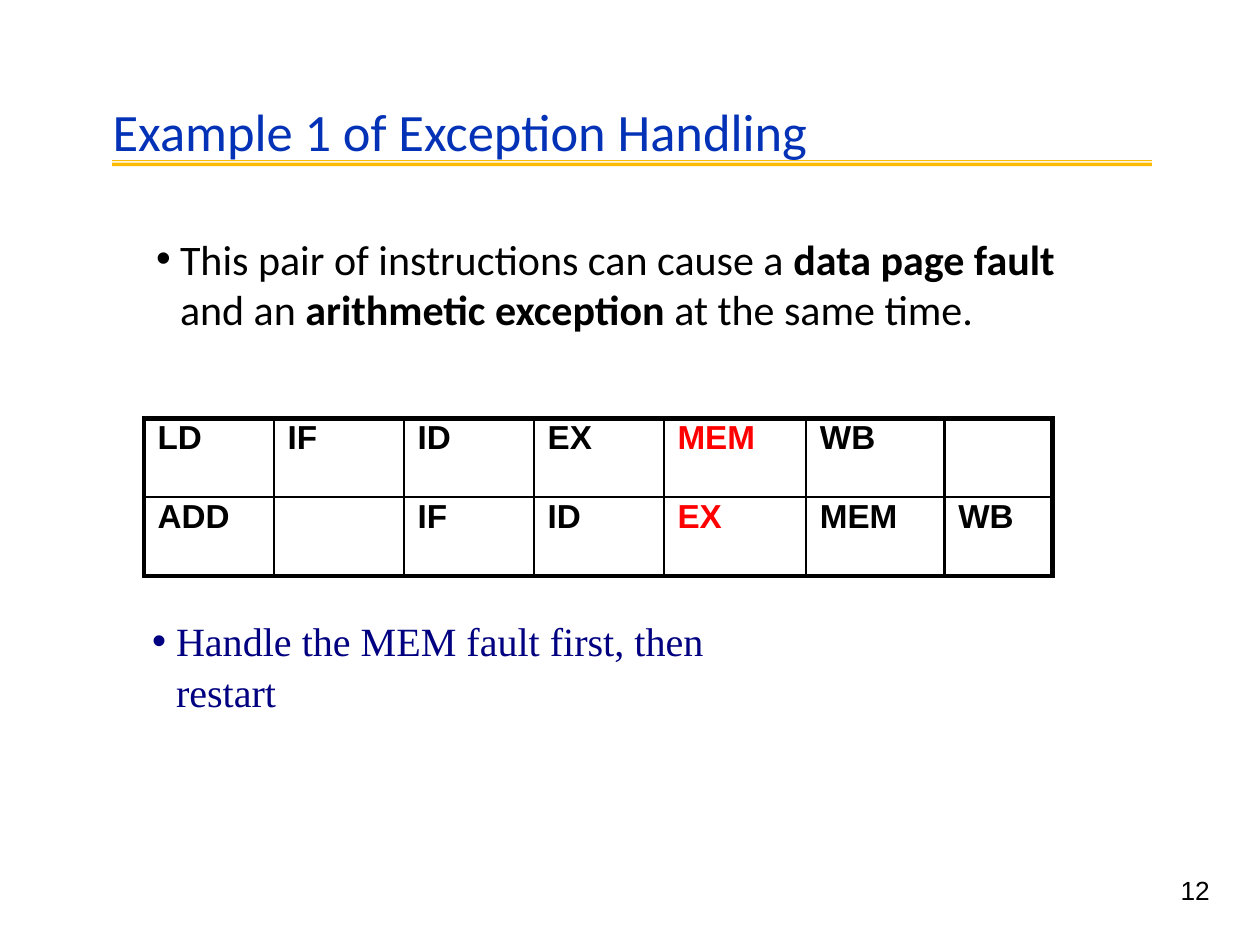
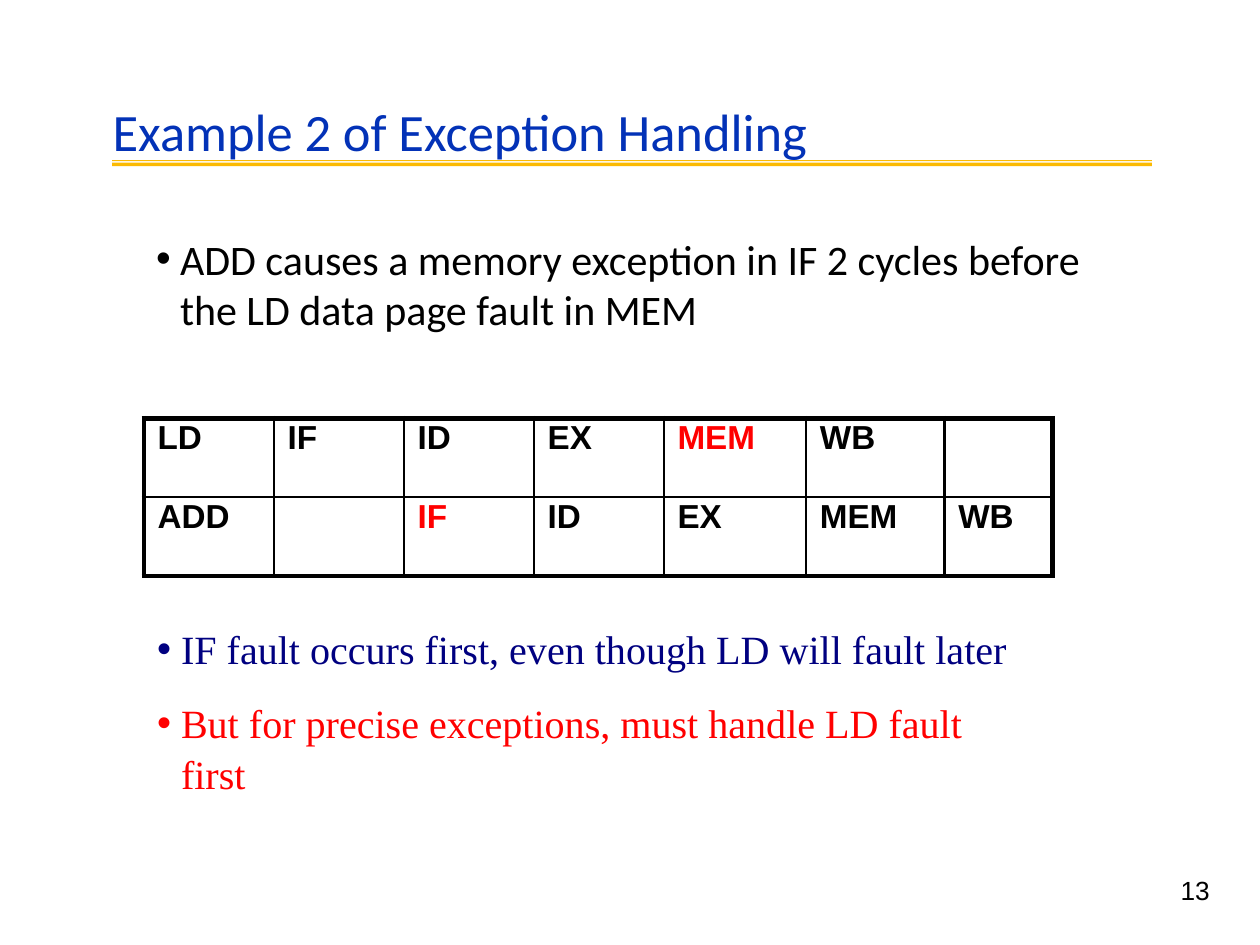
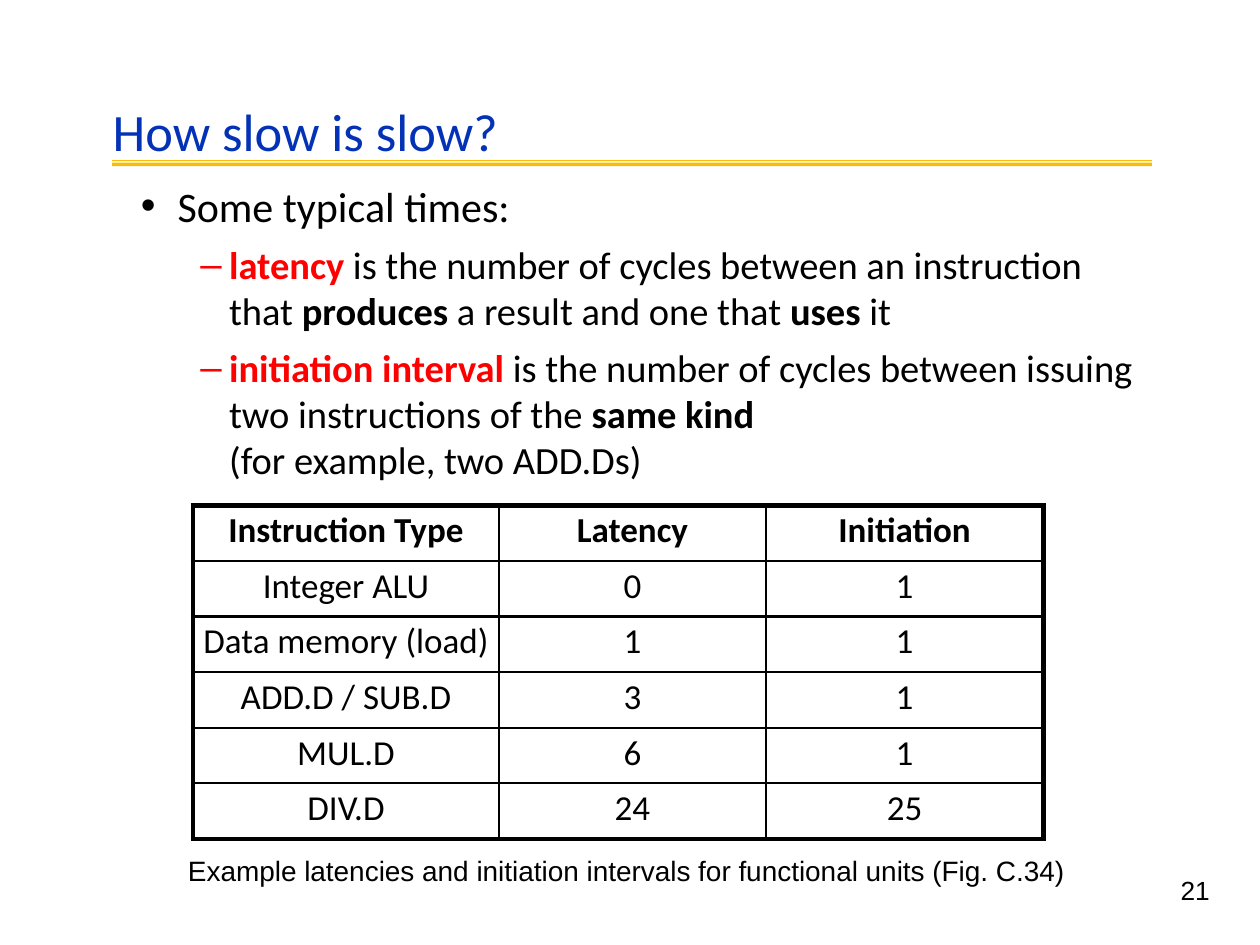
import pptx
import pptx.dml.color
import pptx.enum.text
import pptx.oxml
import pptx.oxml.ns
import pptx.util

Cm, Pt = pptx.util.Cm, pptx.util.Pt
RGB = pptx.dml.color.RGBColor
ALIGN = pptx.enum.text.PP_ALIGN
ANCHOR = pptx.enum.text.MSO_ANCHOR
NS = pptx.oxml.ns.nsdecls("a")

HUES = {"title": "0332B7", "bar": "FBBA03", "ink": "000000",
        "hot": "FF0000", "navy": "000080"}

# Paragraph styles: font, size, colour, left indent, hang, space before, line pitch, bullet
STYLES = {
    "body": ("Calibri", 24, "ink", 0.48, 0.48, 0, 1, "•"),
    "note": ("Times New Roman", 22.9, "navy", 0.5, 0.48, 12.9, 1.06, "•"),
    "warn": ("Times New Roman", 22.9, "hot", 0.5, 0.48, 12.9, 1.06, "•"),
    "top": ("Calibri", 24, "ink", 0.79, 0.74, 0, 1, "•"),
    "sub": ("Calibri", 22, "ink", 1.83, 0.58, 6, 1, "–"),
    "cap": ("Arial", 16, "ink", 0.03, 0, 0, 1, ""),
    "page": ("Arial", 15, "ink", 0, 0, 0, 1, ""),
    "head": ("Calibri", 30, "title", 0.03, 0, 0, 1, ""),
    "stage": ("Arial", 19, "ink", 0.28, 0, 0, 1, ""),
    "cell": ("Calibri", 20, "ink", 0, 0, 0, 1, ""),
}

# Boxes: left, top, width, height, then insets left and top (cm)
LEAD = (2.9, 4.57, 19.84, 2.31, 0.25, 0.13)
PAGE = (23.8, 17.63, 0.84, 1.22, 0, 0)
HEAD = (2.24, 1.63, 19, 1.63, 0, 0.36)
BARS = (3.23, 3.25), (3.28, 3.35)
BAR_X = (2.26, 23.22)

PIPE = {"at": (2.9, 8.43), "cols": [2.62] * 4 + [2.87, 2.79, 2.18],
        "row": 1.59, "style": "stage", "top": 0.03, "align": ALIGN.LEFT}
TIMES = {"at": (3.89, 10.19), "cols": [6.17, 5.38, 5.59],
         "row": 1.12, "style": "cell", "top": 0.08, "align": ALIGN.CENTER}
STAGES = [["LD", "IF", "ID", "EX", "MEM", "WB", ""],
          ["ADD", "", "IF", "ID", "EX", "MEM", "WB"]]

# A paragraph is a style and its runs; "b" is bold, "r" bold red
SLIDES = [
    {"title": "Example 1 of Exception Handling", "page": "12",
     "boxes": [
         (LEAD, [("body", [("This pair of instructions can cause a ", ""),
                           ("data page fault", "b"), (" and an ", ""),
                           ("arithmetic exception", "b"),
                           (" at the same time.", "")])]),
         ((3.05, 12.34, 13.21, 1.02, 0, 0.03),
          [("note", [("Handle the MEM fault first, then restart", "")])])],
     "grid": PIPE, "rows": STAGES, "bold": (0, 1), "hot": {(0, 4), (1, 4)}},
    {"title": "Example 2 of Exception Handling", "page": "13",
     "boxes": [
         (LEAD, [("body", [("ADD causes a memory exception in IF 2 cycles before "
                            "the LD data page fault in MEM", "")])]),
         ((3.15, 12.06, 17.55, 2.92, 0, 0.48),
          [("note", [("IF fault occurs first, even though LD will fault later", "")]),
           ("warn", [("But for precise exceptions, must handle LD fault first", "")])])],
     "grid": PIPE, "rows": STAGES, "bold": (0, 1), "hot": {(0, 4), (1, 2)}},
    {"title": "How slow is slow?", "page": "21",
     "boxes": [
         ((2.79, 3.4, 20.4, 6.4, 0, 0.23),
          [("top", [("Some typical times:", "")]),
           ("sub", [("latency ", "r"),
                    ("is the number of cycles between an instruction that ", ""),
                    ("produces ", "b"), ("a result and one that ", ""),
                    ("uses ", "b"), ("it", "")]),
           ("sub", [("initiation interval ", "r"),
                    ("is the number of cycles between issuing two "
                     "instructions of the ", ""),
                    ("same kind ", "b"), ("\n", ""),
                    ("(for example, two ADD.Ds)", "")])]),
         ((3.76, 17.17, 18.06, 0.71, 0, 0.03),
          [("cap", [("Example latencies and initiation intervals for "
                     "functional units (Fig. C.34)", "")])])],
     "grid": TIMES, "bold": (0,), "hot": set(),
     "rows": [["Instruction Type", "Latency", "Initiation"],
              ["Integer ALU", "0", "1"],
              ["Data memory (load)", "1", "1"],
              ["ADD.D / SUB.D", "3", "1"],
              ["MUL.D", "6", "1"],
              ["DIV.D", "24", "25"]]},
]


def hue(name):
    return RGB.from_string(HUES[name])


def dress(para, style, first=True):
    """Give a paragraph its indents, bullet, spacing and font."""
    face, size, tint, left, hang, gap, pitch, mark = STYLES[style]
    props = para._p.get_or_add_pPr()
    props.set("marL", str(Cm(left)))
    props.set("indent", str(-Cm(hang)))
    if mark:
        for tag in ('buFont {} typeface="Arial"', 'buChar {} char="' + mark + '"'):
            props.append(pptx.oxml.parse_xml("<a:" + tag.format(NS) + "/>"))
    para.line_spacing = float(pitch)
    para.space_before = Pt(0 if first else gap)
    para.font.name, para.font.size = face, Pt(size)
    para.font.color.rgb = hue(tint)


def fill_text(shape, box, paras):
    """Place a shape and write its paragraphs."""
    shape.left, shape.top, shape.width, shape.height = map(Cm, box[:4])
    frame = shape.text_frame
    frame.word_wrap = True
    frame.auto_size = pptx.enum.text.MSO_AUTO_SIZE.NONE
    frame.margin_left, frame.margin_top = Cm(box[4]), Cm(box[5])
    frame.margin_right, frame.margin_bottom = Cm(box[4]), 0
    for i, (style, runs) in enumerate(paras):
        para = frame.add_paragraph() if i else frame.paragraphs[0]
        para.alignment = ALIGN.LEFT
        dress(para, style, i == 0)
        for text, look in runs:
            if text == "\n":
                para.add_line_break()
                continue
            run = para.add_run()
            run.text = text
            if look:
                run.font.bold = True
            if look == "r":
                run.font.color.rgb = hue("hot")


def add_bars(slide):
    x1, x2 = map(Cm, BAR_X)
    pen = None
    for y1, y2 in BARS:
        y1, y2 = Cm(y1), Cm(y2)
        if pen:
            pen.move_to(x1, y1)
        else:
            pen = slide.shapes.build_freeform(x1, y1)
        pen.add_line_segments([(x2, y1), (x2, y2), (x1, y2)])
    bars = pen.convert_to_shape()
    bars.shadow.inherit = False
    bars.fill.solid()
    bars.fill.fore_color.rgb = hue("bar")
    bars.line.fill.background()


def edge(cell, outer):
    """Draw four borders, thick on the sides named in outer."""
    props = cell._tc.get_or_add_tcPr()
    for i, side in enumerate("LRTB"):
        wide = Pt(3 if side in outer else 1.5)
        props.insert(i, pptx.oxml.parse_xml(
            f'<a:ln{side} {NS} w="{wide}"><a:solidFill>'
            f'<a:srgbClr val="{HUES["ink"]}"/></a:solidFill></a:ln{side}>'))


def add_grid(slide, grid, rows, bold, hot):
    x, y = grid["at"]
    cols, high = grid["cols"], grid["row"]
    table = slide.shapes.add_table(len(rows), len(cols), Cm(x), Cm(y),
                                   Cm(sum(cols)), Cm(high * len(rows))).table
    table.first_row = table.horz_banding = False
    for col, wide in zip(table.columns, cols):
        col.width = Cm(wide)
    for r, row in enumerate(rows):
        table.rows[r].height = Cm(high)
        for c, text in enumerate(row):
            cell = table.cell(r, c)
            cell.fill.background()
            cell.margin_left = cell.margin_right = cell.margin_bottom = 0
            cell.margin_top = Cm(grid["top"])
            cell.vertical_anchor = ANCHOR.TOP
            ends = {"L": c == 0, "R": c == len(cols) - 1,
                    "T": r == 0, "B": r == len(rows) - 1}
            edge(cell, [side for side in ends if ends[side]])
            if text:
                cell.text = text
                para = cell.text_frame.paragraphs[0]
                dress(para, grid["style"])
                para.alignment = grid["align"]
                para.font.bold = r in bold
                if (r, c) in hot:
                    para.font.color.rgb = hue("hot")


def main():
    deck = pptx.Presentation()
    deck.slide_width, deck.slide_height = Cm(25.4), Cm(19.05)
    for data in SLIDES:
        slide = deck.slides.add_slide(deck.slide_layouts[5])
        add_bars(slide)
        title = slide.shapes.title
        fill_text(title, HEAD, [("head", [(data["title"], "")])])
        title.text_frame.vertical_anchor = ANCHOR.MIDDLE
        add_grid(slide, data["grid"], data["rows"], data["bold"], data["hot"])
        page = (PAGE, [("page", [(data["page"], "")])])
        for box, paras in data["boxes"] + [page]:
            fill_text(slide.shapes.add_textbox(0, 0, 0, 0), box, paras)
    deck.save("out.pptx")


if __name__ == "__main__":
    main()
